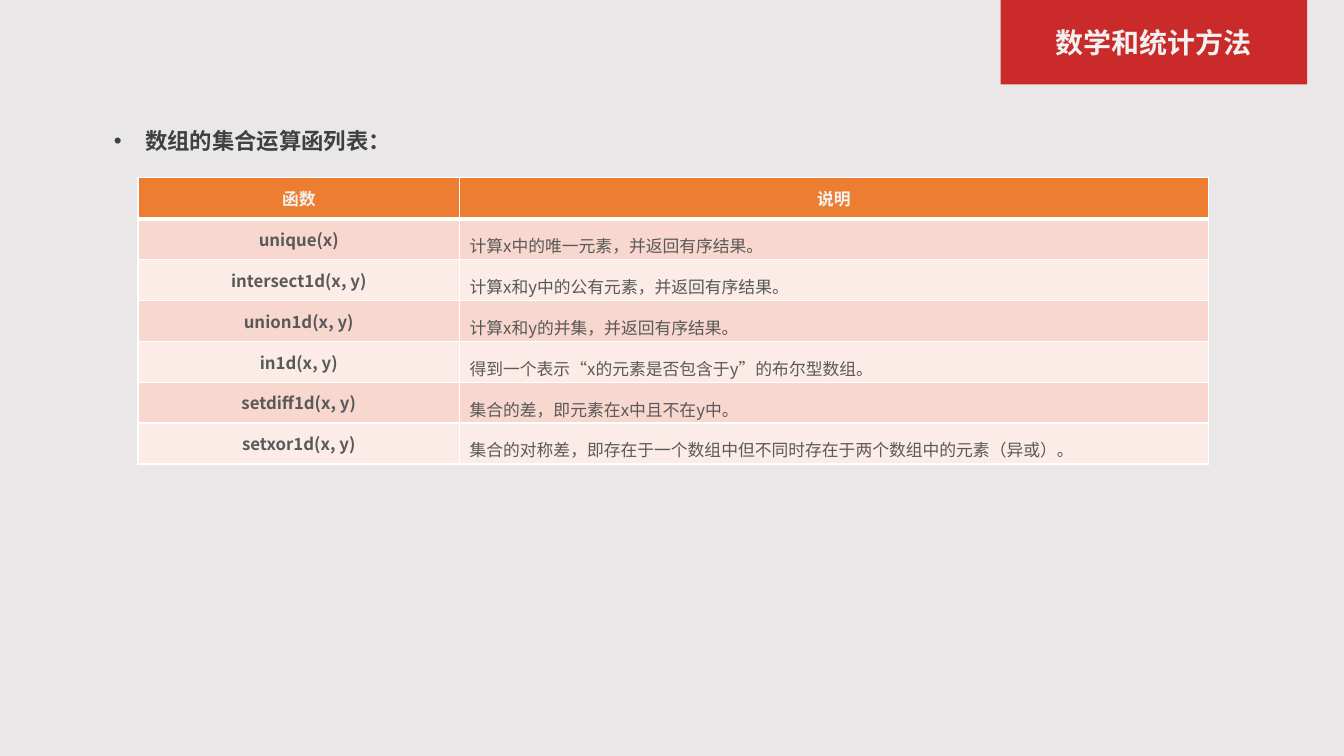
from lxml import etree
from pptx import Presentation
from pptx.dml.color import RGBColor
from pptx.enum.shapes import MSO_SHAPE
from pptx.enum.text import MSO_ANCHOR, MSO_AUTO_SIZE, PP_ALIGN
from pptx.oxml.ns import qn
from pptx.util import Cm, Pt

RECT = MSO_SHAPE.RECTANGLE
MIDDLE = MSO_ANCHOR.MIDDLE
GROW = MSO_AUTO_SIZE.SHAPE_TO_FIT_TEXT
FIXED = MSO_AUTO_SIZE.NONE
LEFT, CENTER = PP_ALIGN.LEFT, PP_ALIGN.CENTER
FONT = "Noto Sans CJK SC"
COLORS = {
    "back": "E9E7E7", "red": "CA2A2A", "pale": "F2F2F2", "dark": "404040",
    "gray": "595959", "head": "ED7D31", "odd": "F8D7CE", "even": "FCECE8",
    "line": "FFFFFF",
}
HEADS = ("函数", "说明")
ROWS = [
    ("unique(x)", "计算x中的唯一元素，并返回有序结果。"),
    ("intersect1d(x, y)", "计算x和y中的公有元素，并返回有序结果。"),
    ("union1d(x, y)", "计算x和y的并集，并返回有序结果。"),
    ("in1d(x, y)", "得到一个表示“x的元素是否包含于y”的布尔型数组。"),
    ("setdiff1d(x, y)", "集合的差，即元素在x中且不在y中。"),
    ("setxor1d(x, y)", "集合的对称差，即存在于一个数组中但不同时存在于两个数组中的元素（异或）。"),
]


def color(name):
    return RGBColor.from_string(COLORS[name])


def write(frame, text, size=12, tint="gray", bold=True, align=LEFT, space=1.0):
    para = frame.paragraphs[0]
    para.alignment = align
    para.line_spacing = space
    para.space_before = Pt(0)
    run = para.add_run()
    run.text = text
    font = run.font
    font.size, font.bold, font.name = Pt(size), bold, FONT
    font.color.rgb = color(tint)
    latin = run._r.rPr.find(qn("a:latin"))
    east = etree.Element(qn("a:ea"), typeface=FONT)
    latin.addnext(east)
    return para


def banner(slide, left, top, width, height):
    block = slide.shapes.add_shape(RECT, left, top, width, height)
    block.shadow.inherit = False
    block.fill.solid()
    block.fill.fore_color.rgb = color("red")
    block.line.fill.background()
    title = slide.shapes.title
    title._element.addprevious(block._element)
    title.left, title.top = left, top + Cm(0.58)
    title.width, title.height = width, Cm(1.07)
    frame = title.text_frame
    frame.auto_size = FIXED
    frame.vertical_anchor = MIDDLE
    write(frame, "数学和统计方法", size=20, tint="pale", align=CENTER, space=0.9)


def lead(slide, left, top, width, height):
    frame = slide.shapes.add_textbox(left, top, width, height).text_frame
    frame.word_wrap = True
    frame.auto_size = GROW
    frame.vertical_anchor = MIDDLE
    para = write(frame, "数组的集合运算函列表：", size=16, tint="dark", space=1.5)
    props = para._p.get_or_add_pPr()
    indent = Cm(0.79)
    props.set("marL", str(indent))
    props.set("indent", str(-indent))
    etree.SubElement(props, qn("a:buFont"), typeface="Arial")
    etree.SubElement(props, qn("a:buChar"), char="•")


def border(cell, top, bottom):
    props = cell._tc.get_or_add_tcPr()
    sides = (("lnL", 1), ("lnR", 1), ("lnT", top), ("lnB", bottom))
    for spot, (side, width) in enumerate(sides):
        line = etree.Element(qn("a:" + side), w=str(Pt(width)))
        fill = etree.SubElement(line, qn("a:solidFill"))
        etree.SubElement(fill, qn("a:srgbClr"), val=COLORS["line"])
        props.insert(spot, line)


def grid(slide, left, top, width, height):
    data = [HEADS] + ROWS
    table = slide.shapes.add_table(len(data), 2, left, top, width, height).table
    table.horz_banding = False
    table.columns[0].width = Cm(8.1)
    table.columns[1].width = width - Cm(8.1)
    for r, texts in enumerate(data):
        table.rows[r].height = height // len(data)
        shade = "head" if r == 0 else "odd" if r % 2 else "even"
        for c, text in enumerate(texts):
            cell = table.cell(r, c)
            cell.vertical_anchor = MIDDLE
            cell.margin_top = cell.margin_bottom = 0
            cell.fill.solid()
            cell.fill.fore_color.rgb = color(shade)
            border(cell, 3 if r == 1 else 1, 3 if r == 0 else 1)
            note = r > 0 and c == 1
            write(cell.text_frame, text, bold=not note,
                  tint="gray" if r else "pale",
                  align=LEFT if note else CENTER,
                  space=1.5 if note else 1.0)


def main():
    deck = Presentation()
    deck.slide_width, deck.slide_height = Cm(33.87), Cm(19.05)
    slide = deck.slides.add_slide(deck.slide_layouts[5])
    slide.background.fill.solid()
    slide.background.fill.fore_color.rgb = color("back")
    banner(slide, Cm(25.22), Cm(0), Cm(7.72), Cm(2.13))
    lead(slide, Cm(2.62), Cm(2.79), Cm(27.3), Cm(1.17))
    grid(slide, Cm(3.48), Cm(4.48), Cm(26.97), Cm(7.21))
    deck.save("out.pptx")


if __name__ == "__main__":
    main()
